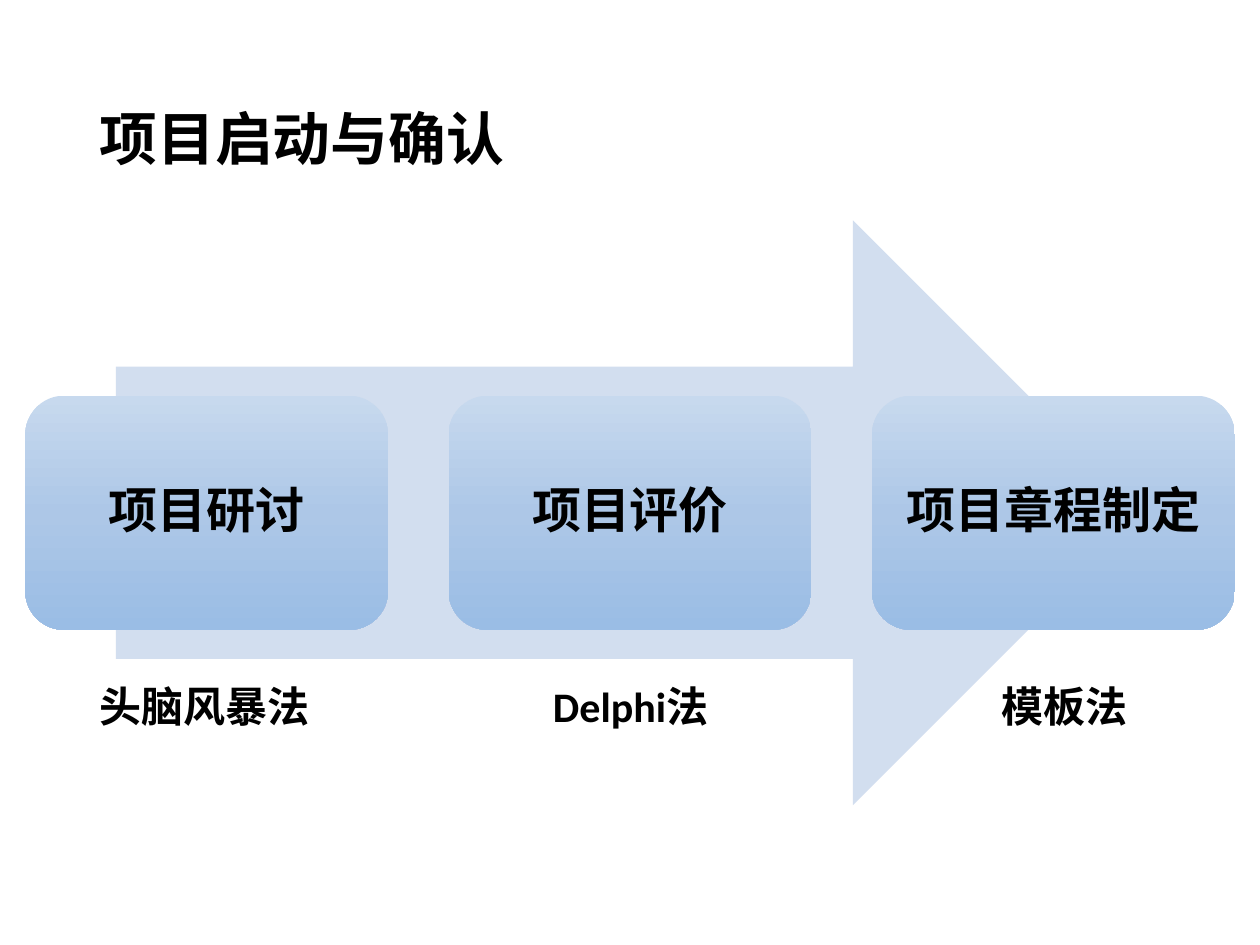
import copy
import pptx
import pptx.util
import pptx.dml.color
import pptx.enum.shapes
import pptx.enum.text
import pptx.oxml.ns

Inches = pptx.util.Inches
Pt = pptx.util.Pt
ALIGN = pptx.enum.text.PP_ALIGN
SHAPE = pptx.enum.shapes.MSO_SHAPE

TITLE = "项目启动与确认"
STEPS = ["项目研讨", "项目评价", "项目章程制定"]
METHODS = [("头脑风暴法", 0.69, 1.94), ("Delphi法", 4.29, 1.51), ("模板法", 7.85, 1.43)]
COLORS = {"text": "000000", "arrow": "D2DEEF",
          "top": "C7D9EE", "middle": "ADC7E7", "bottom": "9ABDE5"}
FONT = "Calibri"
STEP_LEFT, STEP_TOP, STEP_WIDTH, STEP_HEIGHT, STEP_PITCH = 0.2, 3.14, 2.88, 1.86, 3.36
METHOD_TOP, METHOD_HEIGHT = 5.35, 0.5


def color(name):
    """Return the named colour."""
    return pptx.dml.color.RGBColor.from_string(COLORS[name])


def write(shape, text, size, alignment, line_spacing=1.0):
    """Put one bold run into a shape."""
    paragraph = shape.text_frame.paragraphs[0]
    paragraph.alignment = alignment
    paragraph.line_spacing = line_spacing
    run = paragraph.add_run()
    run.text = text
    run.font.name = FONT
    run.font.size = Pt(size)
    run.font.bold = True
    run.font.color.rgb = color("text")


def add_plain_shape(slide, kind, left, top, width, height):
    """Add a preset shape without shadow or outline."""
    shape = slide.shapes.add_shape(
        kind, Inches(left), Inches(top), Inches(width), Inches(height))
    shape.shadow.inherit = False
    shape.line.fill.background()
    return shape


def fill_gradient(shape):
    """Fill a shape from top to bottom with three colours."""
    shape.fill.gradient()
    shape.fill.gradient_angle = 270
    stop_list = shape._element.spPr.find(".//" + pptx.oxml.ns.qn("a:gsLst"))
    stop_list.insert(1, copy.deepcopy(stop_list[0]))
    stops = zip(shape.fill.gradient_stops, (0, 0.5, 1), ("top", "middle", "bottom"))
    for stop, position, name in stops:
        stop.position = position
        stop.color.rgb = color(name)


def add_title(slide):
    """Place and format the slide title."""
    title = slide.shapes.title
    title.left, title.top = Inches(0.69), Inches(0.4)
    title.width, title.height = Inches(8.62), Inches(1.45)
    title.text_frame.auto_size = pptx.enum.text.MSO_AUTO_SIZE.NONE
    title.text_frame.vertical_anchor = pptx.enum.text.MSO_ANCHOR.MIDDLE
    write(title, TITLE, 33, ALIGN.LEFT, 0.9)


def add_step(slide, index, text):
    """Add one rounded step box on the arrow."""
    step = add_plain_shape(slide, SHAPE.ROUNDED_RECTANGLE,
                           STEP_LEFT + index * STEP_PITCH, STEP_TOP, STEP_WIDTH, STEP_HEIGHT)
    fill_gradient(step)
    frame = step.text_frame
    frame.word_wrap = True
    frame.vertical_anchor = pptx.enum.text.MSO_ANCHOR.MIDDLE
    frame.margin_left = frame.margin_right = Inches(0.12)
    frame.margin_top = frame.margin_bottom = Inches(0.12)
    write(step, text, 28, ALIGN.CENTER, 0.9)


def add_method(slide, text, left, width):
    """Add the method label below a step."""
    label = slide.shapes.add_textbox(
        Inches(left), Inches(METHOD_TOP), Inches(width), Inches(METHOD_HEIGHT))
    label.text_frame.word_wrap = False
    label.text_frame.auto_size = pptx.enum.text.MSO_AUTO_SIZE.SHAPE_TO_FIT_TEXT
    write(label, text, 24, ALIGN.LEFT)


presentation = pptx.Presentation()
presentation.slide_width = Inches(10)
presentation.slide_height = Inches(7.5)
slide = presentation.slides.add_slide(presentation.slide_layouts[5])

add_title(slide)
arrow = add_plain_shape(slide, SHAPE.RIGHT_ARROW, 0.92, 1.75, 8.17, 4.64)
arrow.fill.solid()
arrow.fill.fore_color.rgb = color("arrow")
for index, text in enumerate(STEPS):
    add_step(slide, index, text)
for text, left, width in METHODS:
    add_method(slide, text, left, width)

presentation.save("out.pptx")
